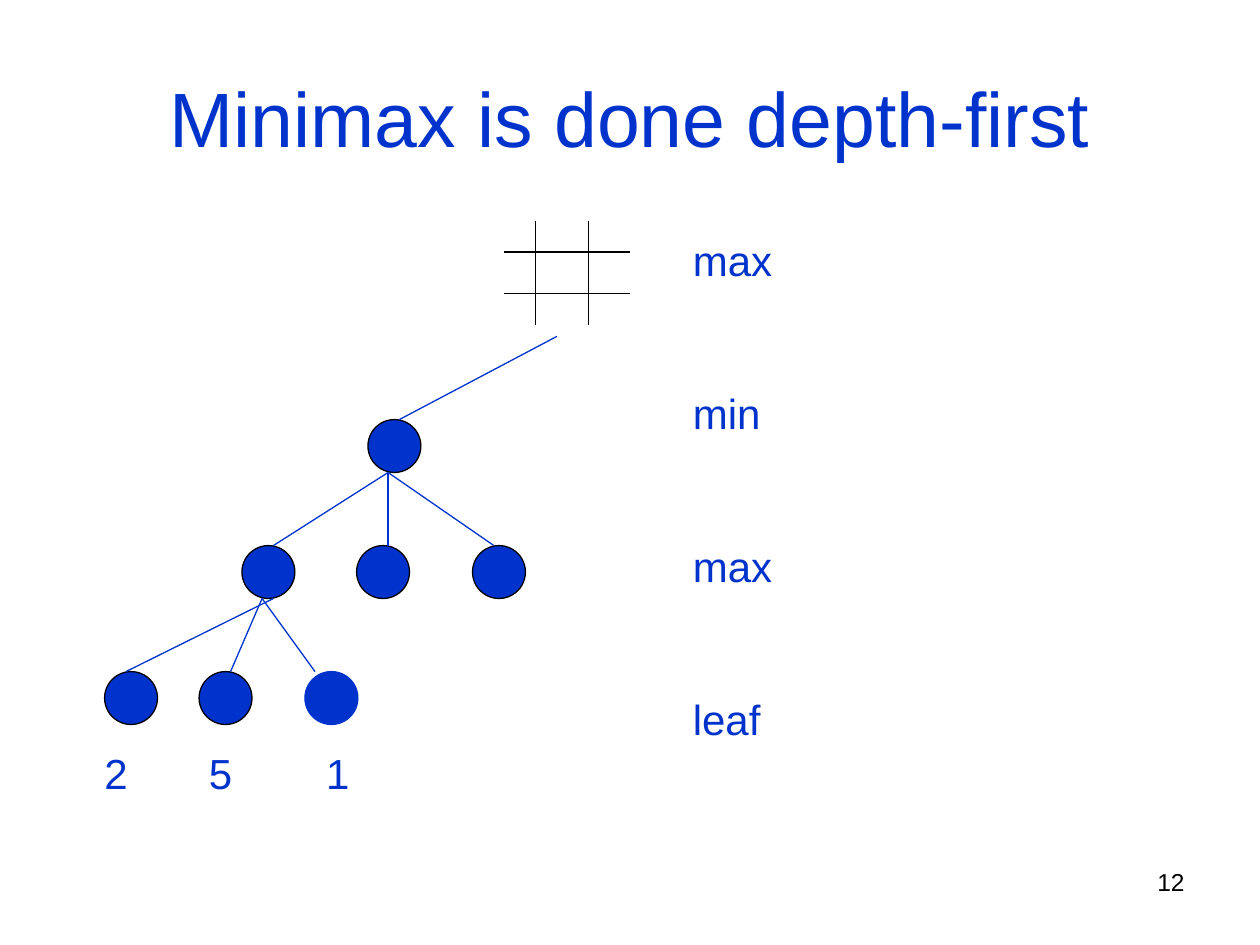
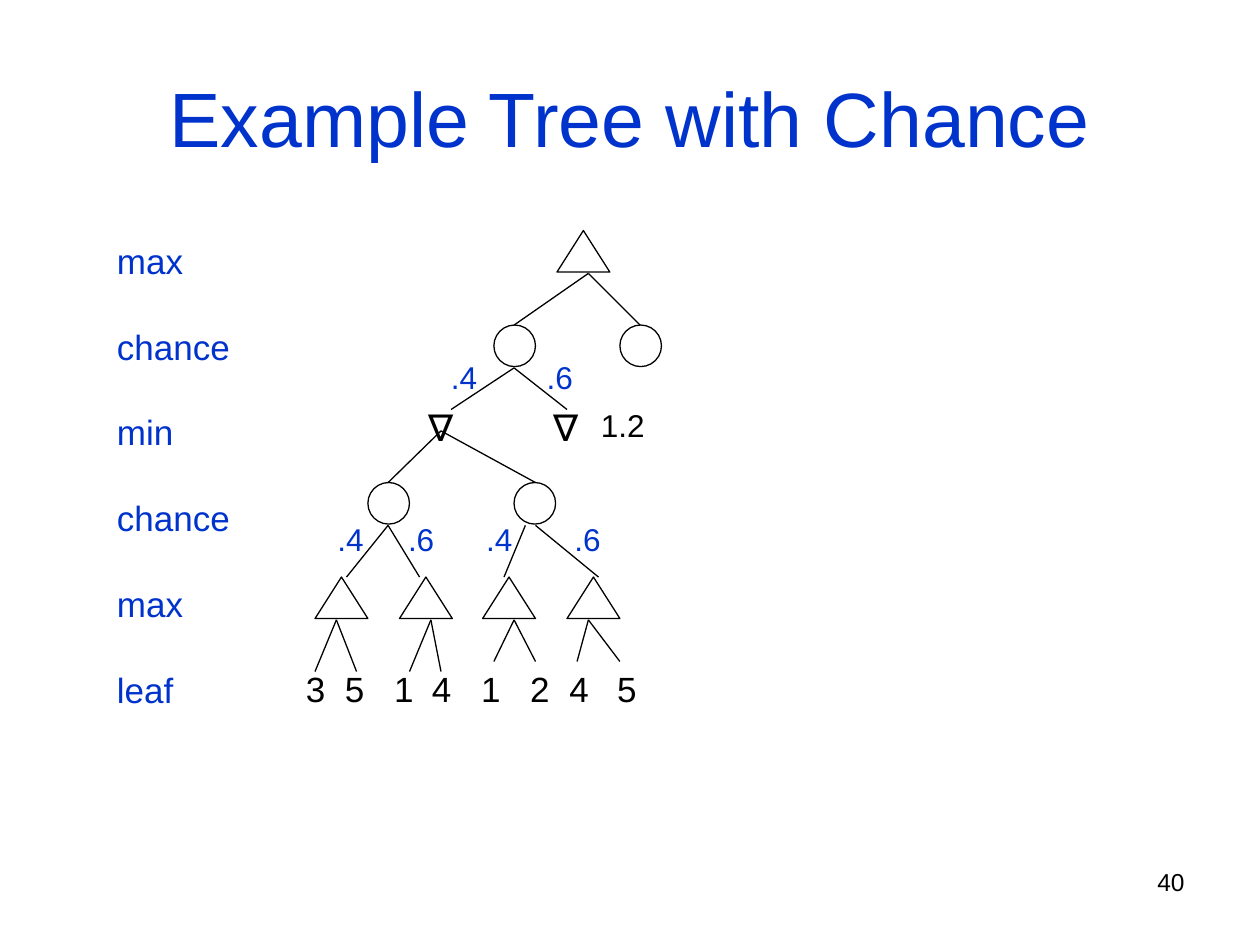
from lxml import etree
from pptx import Presentation
from pptx.dml.color import RGBColor
from pptx.enum.shapes import MSO_CONNECTOR, MSO_SHAPE as SHAPE
from pptx.enum.text import MSO_ANCHOR, MSO_AUTO_SIZE, PP_ALIGN
from pptx.oxml.ns import qn
from pptx.util import Inches, Pt

COLORS = {name: RGBColor.from_string(value) for name, value in
          {"blue": "0033CC", "black": "000000"}.items()}
FONT = "Arial"
LINE_WIDTH = Pt(0.75)
TITLE_ONLY = 5


def add_text(slide, place, lines, size, color, gap=0, tabs=(), align=PP_ALIGN.LEFT):
    """Text box with one paragraph per line, a gap in points and tab stops in inches."""
    box = slide.shapes.add_textbox(*map(Inches, place))
    frame = box.text_frame
    frame.word_wrap = True
    frame.text = "\n".join(lines)
    for index, para in enumerate(frame.paragraphs):
        para.alignment = align
        if index:
            para.space_before = Pt(gap)
        if tabs:
            tab_list = etree.SubElement(para._p.get_or_add_pPr(), qn("a:tabLst"))
            for stop in tabs:
                etree.SubElement(tab_list, qn("a:tab"), pos=str(Inches(stop)), algn="l")
        for span in para.runs:
            span.font.name = FONT
            span.font.size = Pt(size)
            span.font.color.rgb = COLORS[color]


def add_line(slide, start, end, color):
    line = slide.shapes.add_connector(MSO_CONNECTOR.STRAIGHT, *map(Inches, start + end))
    line.line.color.rgb = COLORS[color]
    line.line.width = LINE_WIDTH
    etree.SubElement(line._element.spPr, qn("a:effectLst"))


deck = Presentation()
deck.slide_width, deck.slide_height = Inches(10), Inches(7.5)

# Titles and page numbers
pages = []
for heading, number in [("Minimax is done depth-first", "12"),
                        ("Example Tree with Chance", "40")]:
    page = deck.slides.add_slide(deck.slide_layouts[TITLE_ONLY])
    title = page.shapes.title
    title.left, title.top = Inches(0.5), Inches(0.3)
    title.width, title.height = Inches(9), Inches(1.25)
    frame = title.text_frame
    frame.text = heading
    frame.auto_size = MSO_AUTO_SIZE.NONE
    frame.vertical_anchor = MSO_ANCHOR.MIDDLE
    para = frame.paragraphs[0]
    para.alignment = PP_ALIGN.CENTER
    span = para.runs[0]
    span.font.name, span.font.size = FONT, Pt(44)
    span.font.color.rgb = COLORS["blue"]
    add_text(page, (7.17, 6.83, 2.33, 0.52), [number], 14, "black", align=PP_ALIGN.RIGHT)
    pages.append(page)
minimax, chance = pages

# Nodes by row: page, shape, width, height, top, fill, lefts
node_rows = [
    (minimax, SHAPE.OVAL, 0.42, 0.42, 3.33, "blue", [2.92]),
    (minimax, SHAPE.OVAL, 0.42, 0.42, 4.33, "blue", [1.92, 2.83, 3.75]),
    (minimax, SHAPE.OVAL, 0.42, 0.42, 5.33, "blue", [0.83, 1.58, 2.42]),
    (chance, SHAPE.ISOSCELES_TRIANGLE, 0.42, 0.33, 1.83, None, [4.42]),
    (chance, SHAPE.OVAL, 0.33, 0.33, 2.58, None, [3.92, 4.92]),
    (chance, SHAPE.OVAL, 0.33, 0.33, 3.83, None, [2.92, 4.08]),
    (chance, SHAPE.ISOSCELES_TRIANGLE, 0.42, 0.33, 4.58, None, [2.5, 3.17, 3.83, 4.5]),
]
for page, kind, width, height, top, fill, lefts in node_rows:
    for left in lefts:
        node = page.shapes.add_shape(kind, *map(Inches, (left, top, width, height)))
        node.shadow.inherit = False
        if fill:
            node.fill.solid()
            node.fill.fore_color.rgb = COLORS[fill]
        else:
            node.fill.background()
        node.line.color.rgb = COLORS["black"]
        node.line.width = LINE_WIDTH
    if page is minimax:
        last_leaf = node
last_leaf.line.color.rgb = COLORS["blue"]

# Game board at the root
for x in (4.25, 4.67):
    add_line(minimax, (x, 1.75), (x, 2.58), "black")
for y in (2, 2.33):
    add_line(minimax, (4, y), (5, y), "black")

# Branches by row: page, color, parent y, child y, pairs of parent x and child xs
branch_rows = [
    (minimax, "blue", 2.67, 3.33, [(4.42, [3.17])]),
    (minimax, "blue", 3.75, 4.33, [(3.08, [2.17, 3.08, 3.92])]),
    (minimax, "blue", 4.75, 5.33, [(2.17, [1]), (2.08, [1.83, 2.5])]),
    (chance, "black", 2.17, 2.58, [(4.67, [4.08, 5.08])]),
    (chance, "black", 2.92, 3.25, [(4.08, [3.58, 4.5])]),
    (chance, "black", 3.42, 3.83, [(3.5, [3.08, 4.25])]),
    (chance, "black", 4.17, 4.58, [(3.08, [2.75, 3.33]), (4.17, [4]), (4.25, [4.75])]),
    (chance, "black", 4.92, 5.33, [(2.67, [2.5, 2.83]), (3.42, [3.25, 3.5])]),
    (chance, "black", 4.92, 5.25, [(4.08, [3.92, 4.25]), (4.67, [4.58, 4.92])]),
]
for page, color, parent_y, child_y, families in branch_rows:
    for parent_x, child_xs in families:
        for child_x in child_xs:
            add_line(page, (parent_x, parent_y), (child_x, child_y), color)

# Level names
add_text(minimax, (5.4, 1.81, 0.9, 4.1), ["max", "min", "max", "leaf"], 24, "blue", gap=58.7)
add_text(chance, (0.83, 1.85, 1.2, 4.1),
         ["max", "chance", "min", "chance", "max", "leaf"], 20, "blue", gap=25)

# Leaf values, min nodes and probabilities
add_text(minimax, (0.73, 5.88, 2.2, 0.5), ["2\t5\t1"], 24, "blue", tabs=[0.83, 1.76])
add_text(chance, (3.28, 3.12, 1.55, 0.5), ["∇\t∇"], 24, "black", tabs=[0.99])
add_text(chance, (4.67, 3.17, 0.6, 0.4), ["1.2"], 18, "black")
add_text(chance, (3.48, 2.79, 1.25, 0.4), [".4\t.6"], 18, "blue", tabs=[0.76])
add_text(chance, (2.58, 4.08, 2.35, 0.4), [".4\t.6\t.4\t.6"], 18, "blue",
         tabs=[0.56, 1.18, 1.88])
add_text(chance, (2.33, 5.25, 2.9, 0.44), ["3\t5\t1\t4\t1\t2\t4\t5"], 20, "black",
         tabs=[0.31, 0.7, 1, 1.39, 1.78, 2.09, 2.47])

deck.save("out.pptx")
